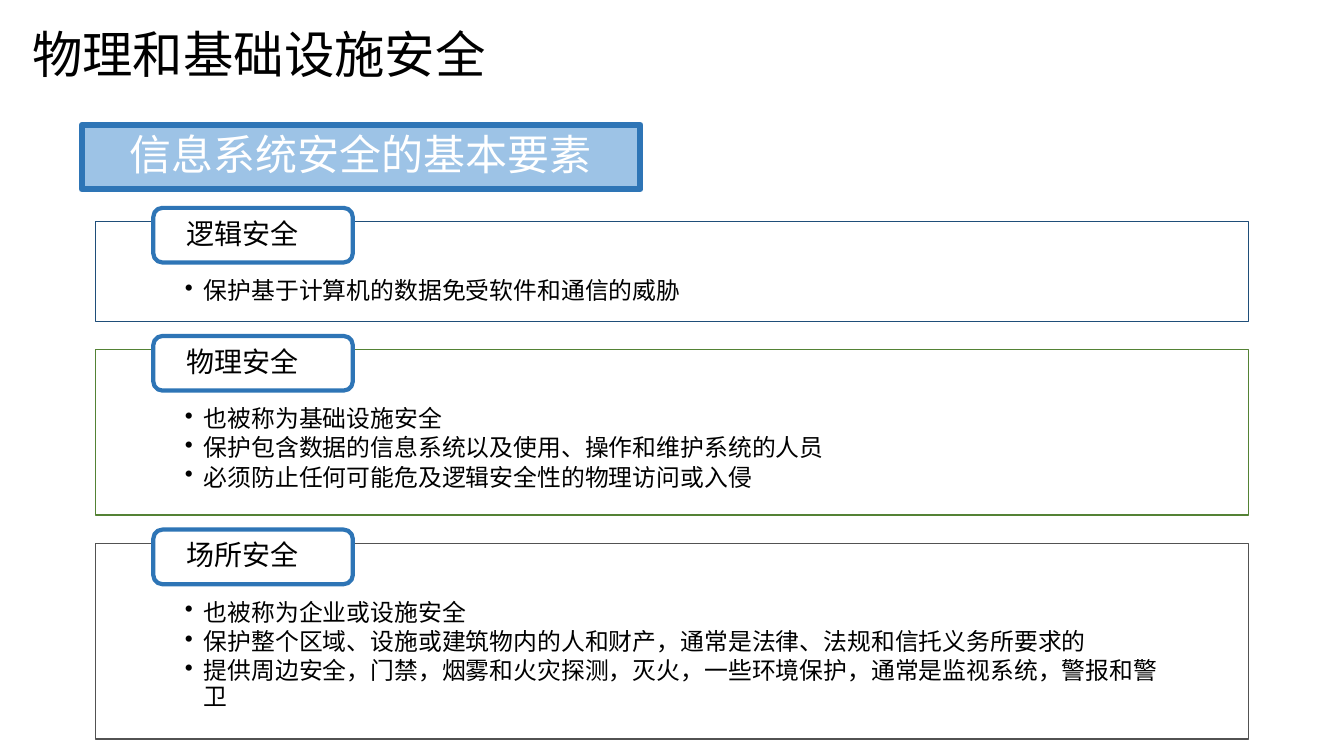
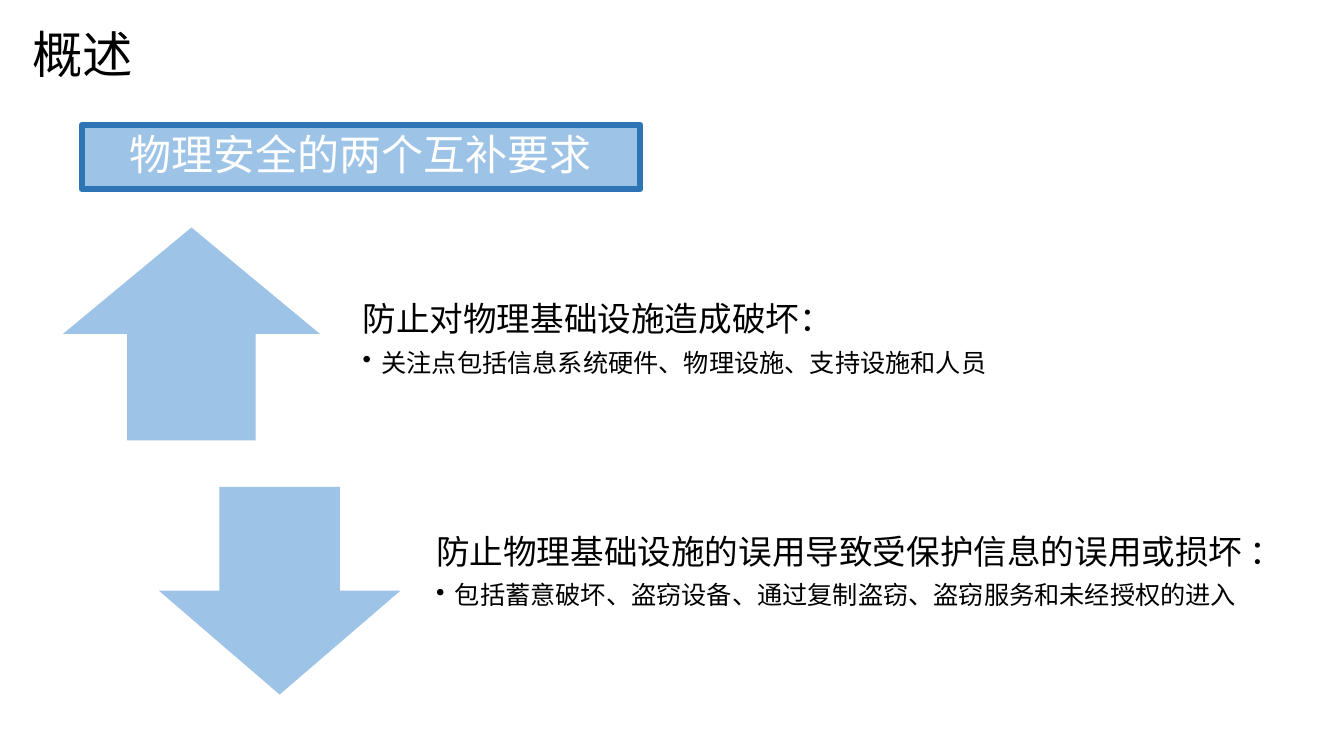
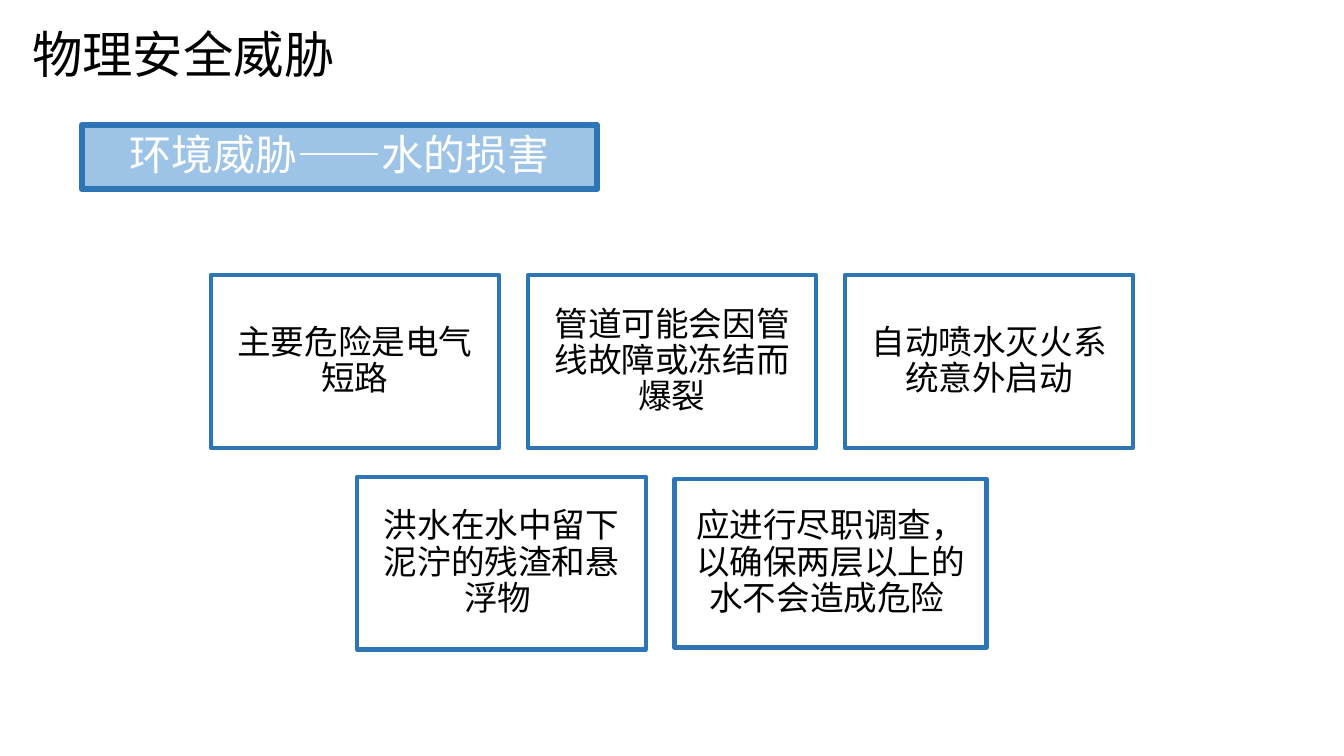
from dataclasses import dataclass

from lxml import etree
from pptx import Presentation
from pptx.dml.color import RGBColor
from pptx.enum.shapes import MSO_SHAPE
from pptx.enum.text import MSO_ANCHOR, PP_ALIGN
from pptx.oxml.ns import qn
from pptx.util import Pt

RECT, ROUND = MSO_SHAPE.RECTANGLE, MSO_SHAPE.ROUNDED_RECTANGLE
UP, DOWN = MSO_SHAPE.UP_ARROW, MSO_SHAPE.DOWN_ARROW
TOP, MIDDLE = MSO_ANCHOR.TOP, MSO_ANCHOR.MIDDLE
LEFT, CENTER = PP_ALIGN.LEFT, PP_ALIGN.CENTER
WIDE, HIGH = 960, 540


@dataclass(frozen=True)
class Theme:
    font: str = "Noto Sans CJK SC"
    black: str = "000000"
    white: str = "FFFFFF"
    sky: str = "9DC3E6"
    blue: str = "2E75B6"
    navy: str = "1F4E79"
    green: str = "548235"
    gray: str = "525252"
    title: int = 36
    banner: int = 30
    head: int = 24
    chip: int = 20
    note: int = 18
    item: int = 17


T = Theme()


@dataclass(frozen=True)
class Box:
    x: float
    y: float
    w: float
    h: float

    def pts(self):
        return Pt(self.x), Pt(self.y), Pt(self.w), Pt(self.h)


@dataclass(frozen=True)
class Panel:
    name: str
    line: str
    high: float
    items: tuple[str, ...]


@dataclass(frozen=True)
class Need:
    kind: MSO_SHAPE
    arrow: Box
    area: Box
    head: str
    note: str


@dataclass(frozen=True)
class Card:
    text: str
    w: float = 206
    h: float = 123.4


# Basic parts
def add_box(slide, kind, box: Box, fill: str, line: str = "", width: float = 1):
    shape = slide.shapes.add_shape(kind, *box.pts())
    shape.shadow.inherit = False
    shape.fill.solid()
    shape.fill.fore_color.rgb = RGBColor.from_string(fill)
    if line:
        shape.line.color.rgb = RGBColor.from_string(line)
        shape.line.width = Pt(width)
    else:
        shape.line.fill.background()
    return shape


def set_frame(shape, pad: tuple[float, ...], anchor=MIDDLE):
    frame = shape.text_frame
    frame.word_wrap = True
    frame.vertical_anchor = anchor
    (frame.margin_left, frame.margin_top,
     frame.margin_right, frame.margin_bottom) = map(Pt, pad)
    return frame


def write(frame, text: str, *, size: float, color: str = T.black, align=LEFT,
          pitch: float = 0.9, after: float = 0, bullet: bool = False) -> None:
    """Fill the first paragraph, or add one when it is taken."""
    para = frame.paragraphs[0]
    if para.runs:
        para = frame.add_paragraph()
    para.alignment = align
    para.line_spacing = pitch
    para.space_after = Pt(after)
    if bullet:
        props = para._p.get_or_add_pPr()
        props.set("marL", str(Pt(13.5)))
        props.set("indent", str(Pt(-13.5)))
        etree.SubElement(props, qn("a:buChar")).set("char", "•")
    run = para.add_run()
    run.text = text
    font = run.font
    font.size, font.name = Pt(size), T.font
    font.color.rgb = RGBColor.from_string(color)
    etree.SubElement(run._r.get_or_add_rPr(), qn("a:ea")).set("typeface", T.font)


# Shared title and banner
def start(deck, title: str, banner: str, wide: float = 399):
    slide = deck.slides.add_slide(deck.slide_layouts[6])
    label = slide.shapes.add_textbox(*Box(15, 0, 426, 76).pts())
    write(set_frame(label, (8, 4, 8, 4)), title, size=T.title, pitch=1)
    band = add_box(slide, RECT, Box(58.5, 89.2, wide, 46), T.sky, T.blue, 4.33)
    write(set_frame(band, (34, 0, 30, 1)), banner, size=T.banner, color=T.white)
    return slide


# Stacked panels with name chips
def add_panels(slide, panels: tuple[Panel, ...]) -> None:
    top, gap = 158.3, 20.2
    for panel in panels:
        body = add_box(slide, RECT, Box(68.2, top, 823.7, panel.high),
                       T.white, panel.line)
        frame = set_frame(body, (63.8, 41, 63.8, 9), TOP)
        for item in panel.items:
            write(frame, item, size=T.item, after=0.15 * T.item, bullet=True)
        chip = add_box(slide, ROUND, Box(109.5, top - 9.8, 142.5, 39),
                       T.white, T.blue, 3)
        write(set_frame(chip, (21.5, 0, 21.5, 0)), panel.name, size=T.chip)
        top += panel.high + gap


# Arrow with heading and note
def add_need(slide, need: Need) -> None:
    add_box(slide, need.kind, need.arrow, T.sky)
    label = slide.shapes.add_textbox(*need.area.pts())
    frame = set_frame(label, (13.5, 0, 13.5, 13.5))
    write(frame, need.head, size=T.head, after=0.35 * T.head)
    write(frame, need.note, size=T.note, bullet=True)


# Rows of cards, each centred on the slide
def add_cards(slide, rows: tuple[tuple[Card, ...], ...]) -> None:
    gap, step = 20.5, 144.2
    for i, row in enumerate(rows):
        mid = 258.1 + i * step
        left = (WIDE - sum(c.w for c in row) - gap * (len(row) - 1)) / 2
        for card in row:
            box = Box(left, mid - card.h / 2, card.w, card.h)
            shape = add_box(slide, RECT, box, T.white, T.blue, 3)
            write(set_frame(shape, (7.5, 7, 7.5, 7)), card.text, size=T.head,
                  align=CENTER)
            left += card.w + gap


PANELS = (
    Panel("逻辑安全", T.navy, 71.3, ("保护基于计算机的数据免受软件和通信的威胁",)),
    Panel("物理安全", T.green, 118.1, (
        "也被称为基础设施安全",
        "保护包含数据的信息系统以及使用、操作和维护系统的人员",
        "必须防止任何可能危及逻辑安全性的物理访问或入侵")),
    Panel("场所安全", T.gray, 139.7, (
        "也被称为企业或设施安全",
        "保护整个区域、设施或建筑物内的人和财产，通常是法律、法规和信托义务所要求的",
        "提供周边安全，门禁，烟雾和火灾探测，灭火，一些环境保护，通常是监视系统，警报和警卫")),
)
NEEDS = (
    Need(UP, Box(45, 162.5, 183.5, 152), Box(245.5, 165, 679, 169),
         "防止对物理基础设施造成破坏：",
         "关注点包括信息系统硬件、物理设施、支持设施和人员"),
    Need(DOWN, Box(113.5, 347.8, 172.5, 148.3), Box(298, 331.3, 640, 169),
         "防止物理基础设施的误用导致受保护信息的误用或损坏 ：",
         "包括蓄意破坏、盗窃设备、通过复制盗窃、盗窃服务和未经授权的进入"),
)
CARDS = (
    (Card("主要危险是电气短路"),
     Card("管道可能会因管线故障或冻结而爆裂"),
     Card("自动喷水灭火系统意外启动")),
    (Card("洪水在水中留下泥泞的残渣和悬浮物 "),
     Card("应进行尽职调查，以确保两层以上的水不会造成危险 ", 223, 120.4)),
)


def main() -> None:
    deck = Presentation()
    deck.slide_width, deck.slide_height = Pt(WIDE), Pt(HIGH)
    add_panels(start(deck, "物理和基础设施安全", "信息系统安全的基本要素"), PANELS)
    slide = start(deck, "概述", "物理安全的两个互补要求")
    for need in NEEDS:
        add_need(slide, need)
    add_cards(start(deck, "物理安全威胁", "环境威胁——水的损害", 368), CARDS)
    deck.save("out.pptx")


if __name__ == "__main__":
    main()
